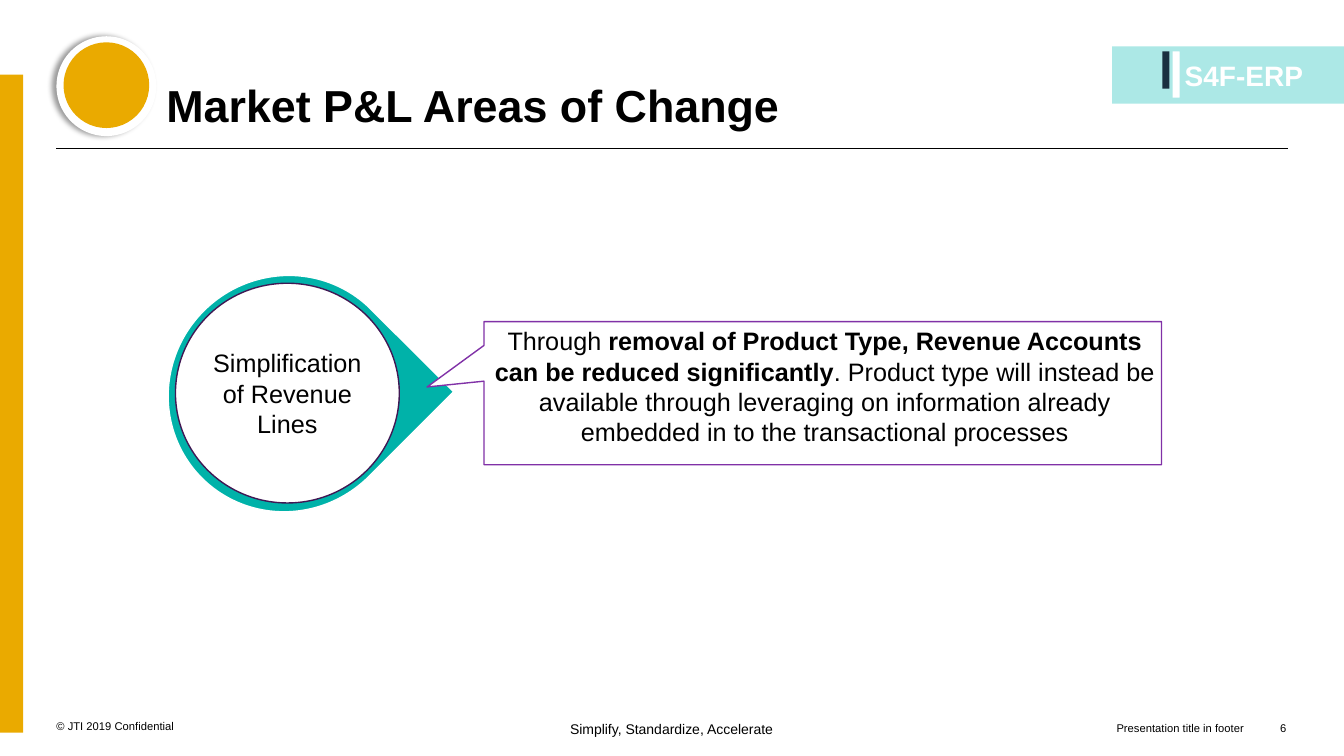
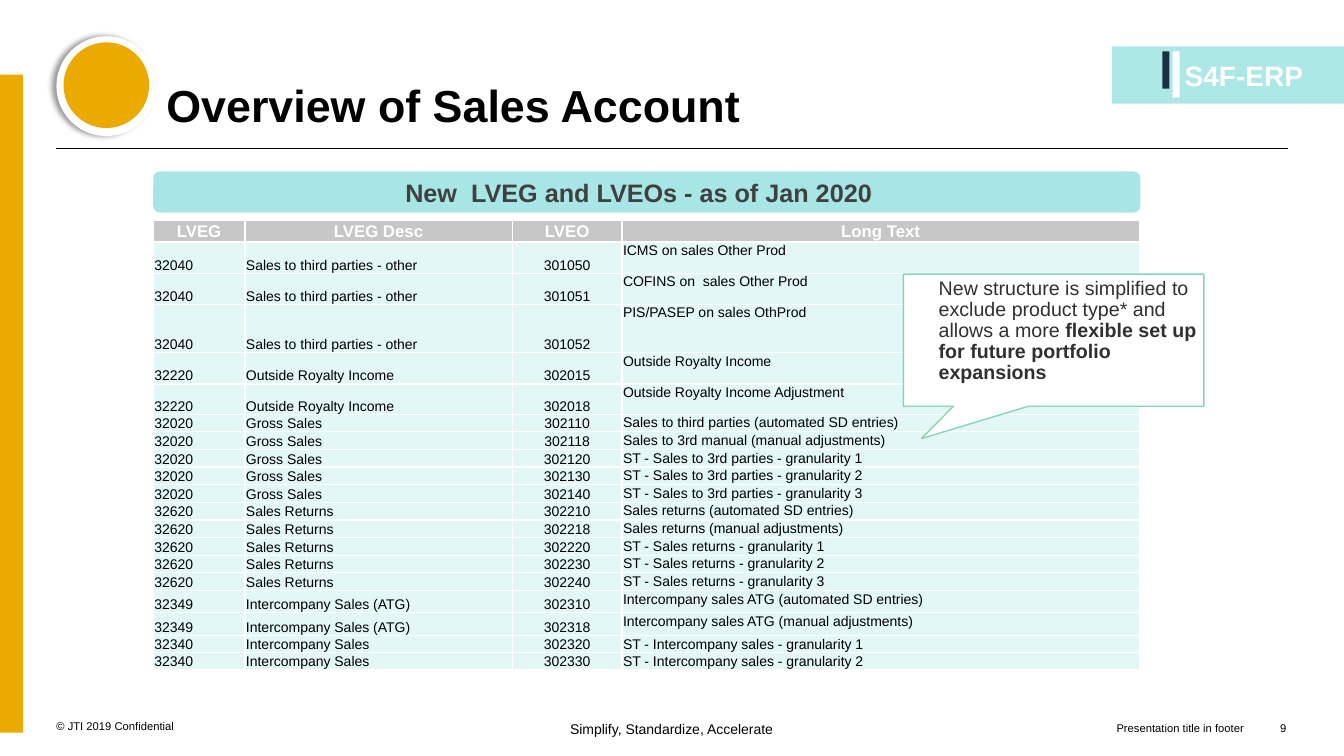
"""Build two slides on market P&L changes and the sales account overview."""
from lxml import etree
from pptx import Presentation
from pptx.dml.color import RGBColor
from pptx.enum import shapes, text
from pptx.oxml import parse_xml
from pptx.oxml.ns import nsdecls, qn
from pptx.util import Inches, Pt

FONT = "Arial"
BLACK = RGBColor(0x00, 0x00, 0x00)
WHITE = RGBColor(0xFF, 0xFF, 0xFF)
GOLD = RGBColor(0xEA, 0xAA, 0x00)
NAVY = RGBColor(0x1A, 0x30, 0x40)
BADGE_AQUA = RGBColor(0xAC, 0xE8, 0xE6)
BANNER_AQUA = RGBColor(0xA7, 0xE6, 0xE4)
CELL_AQUA = RGBColor(0xE3, 0xF7, 0xF7)
HEADER_GRAY = RGBColor(0xC7, 0xC7, 0xC7)
BANNER_TEXT = RGBColor(0x40, 0x40, 0x40)
CALLOUT_TEXT = RGBColor(0x30, 0x30, 0x30)
TEAL = RGBColor(0x00, 0xB2, 0xA9)
PLUM = RGBColor(0x40, 0x18, 0x54)
PURPLE = RGBColor(0x80, 0x31, 0xA7)
MINT = RGBColor(0x88, 0xD5, 0xB8)

SHAPE = shapes.MSO_SHAPE
LEFT, CENTER, RIGHT = text.PP_ALIGN.LEFT, text.PP_ALIGN.CENTER, text.PP_ALIGN.RIGHT
TOP, MIDDLE, BOTTOM = text.MSO_ANCHOR.TOP, text.MSO_ANCHOR.MIDDLE, text.MSO_ANCHOR.BOTTOM


def write(owner, content, size, color=BLACK, bold=False, align=LEFT, anchor=TOP,
          margins=(0, 0, 0, 0), spacing=None, cell=False):
    """Write a string, or a list of (string, bold) runs, into a shape or cell."""
    frame = owner.text_frame
    holder = owner if cell else frame
    holder.margin_left, holder.margin_top, holder.margin_right, holder.margin_bottom = map(Inches, margins)
    holder.vertical_anchor = anchor
    if not cell:
        frame.word_wrap = True
        frame.auto_size = text.MSO_AUTO_SIZE.NONE
    paragraph = frame.paragraphs[0]
    paragraph.alignment = align
    if spacing:
        paragraph.line_spacing = spacing
    for words, heavy in [(content, bold)] if isinstance(content, str) else content:
        run = paragraph.add_run()
        run.text = words
        run.font.name, run.font.size, run.font.bold = FONT, Pt(size), heavy
        run.font.color.rgb = color


def add_shape(slide, kind, box, fill, line=None, adjustments=()):
    """Add a flat preset shape with an optional one-point outline."""
    shape = slide.shapes.add_shape(kind, *map(Inches, box))
    shape.shadow.inherit = False
    shape.fill.solid()
    shape.fill.fore_color.rgb = fill
    if line is None:
        shape.line.fill.background()
    else:
        shape.line.color.rgb = line
        shape.line.width = Pt(1)
    for index, value in enumerate(adjustments):
        shape.adjustments[index] = value
    return shape


presentation = Presentation()
presentation.slide_width, presentation.slide_height = Inches(13.33), Inches(7.5)
title_only = presentation.slide_layouts[5]

slides = []
for heading, number in [("Market P&L Areas of Change", "6"), ("Overview of Sales Account", "9")]:
    slide = presentation.slides.add_slide(title_only)
    slides.append(slide)

    rule = slide.shapes.add_connector(shapes.MSO_CONNECTOR.STRAIGHT,
                                      Inches(0.56), Inches(1.47), Inches(12.77), Inches(1.47))
    rule.line.color.rgb = BLACK
    rule.line.width = Pt(0.75)
    etree.SubElement(rule._element.spPr, qn("a:effectLst"))

    add_shape(slide, SHAPE.RECTANGLE, (11.03, 0.46, 2.3, 0.57), BADGE_AQUA)
    add_shape(slide, SHAPE.RECTANGLE, (11.53, 0.51, 0.07, 0.37), NAVY)
    add_shape(slide, SHAPE.ROUNDED_RECTANGLE, (11.63, 0.51, 0.07, 0.46), WHITE, adjustments=[0.07])
    add_shape(slide, SHAPE.RECTANGLE, (0, 0.74, 0.23, 6.53), GOLD)
    ring = add_shape(slide, SHAPE.OVAL, (0.56, 0.36, 0.99, 0.99), WHITE)
    ring._element.spPr.find(qn("a:effectLst")).append(parse_xml(
        f'<a:outerShdw {nsdecls("a")} blurRad="{Pt(4)}" dist="{Pt(3)}" dir="10800000" rotWithShape="0">'
        '<a:srgbClr val="000000"><a:alpha val="40000"/></a:srgbClr></a:outerShdw>'))
    add_shape(slide, SHAPE.OVAL, (0.63, 0.42, 0.85, 0.85), GOLD)

    title = slide.shapes.title
    title.left, title.top, title.width, title.height = map(Inches, (1.65, 0.23, 9.3, 1.08))
    write(title, heading, 32, bold=True, anchor=BOTTOM, spacing=0.9)

    for words, box, style in [
        ("S4F-ERP", (11.75, 0.58, 1.25, 0.5), dict(size=20, color=WHITE, bold=True)),
        ("© JTI 2019 Confidential", (0.56, 6.87, 1.97, 0.4), dict(size=8, anchor=BOTTOM)),
        ("Simplify, Standardize, Accelerate", (5.13, 7.15, 3.06, 0.3), dict(size=10, align=CENTER)),
        ("Presentation title in footer", (7.74, 6.89, 4.6, 0.4), dict(size=8, align=RIGHT, anchor=BOTTOM)),
        (number, (12.33, 6.89, 0.43, 0.4), dict(size=8, align=RIGHT, anchor=BOTTOM)),
    ]:
        write(slide.shapes.add_textbox(*map(Inches, box)), words, **style)

change_slide, account_slide = slides

pointer = add_shape(change_slide, SHAPE.TEAR, (1.68, 2.72, 2.32, 2.37), TEAL, WHITE, [1])
pointer.rotation = 45
topic = add_shape(change_slide, SHAPE.OVAL, (1.74, 2.81, 2.22, 2.18), WHITE, PLUM)
write(topic, "Simplification of Revenue Lines", 18, align=CENTER, anchor=MIDDLE,
      margins=(0.04, 0.04, 0.04, 0.04))
explanation = add_shape(change_slide, SHAPE.RECTANGULAR_CALLOUT, (4.8, 3.19, 6.72, 1.42),
                        WHITE, PURPLE, [-0.584, -0.043])
write(explanation, [
    ("Through ", False),
    ("removal of Product Type, Revenue Accounts can be reduced significantly", True),
    (". Product type will instead be available through leveraging on information already "
     "embedded in to the transactional processes", False),
], 18, align=CENTER, margins=(0.04, 0.04, 0, 0))

banner = add_shape(account_slide, SHAPE.ROUNDED_RECTANGLE, (1.52, 1.7, 9.79, 0.41), BANNER_AQUA)
write(banner, "New  LVEG and LVEOs - as of Jan 2020", 18, BANNER_TEXT, True, CENTER, MIDDLE,
      margins=(0, 0, 0.16, 0))

accounts = [
    ("LVEG", "LVEG Desc", "LVEO", "Long Text"),
    ("32040", "Sales to third parties - other", "301050", "ICMS on sales Other Prod"),
    ("32040", "Sales to third parties - other", "301051", "COFINS on  sales Other Prod"),
    ("32040", "Sales to third parties - other", "301052", "PIS/PASEP on sales OthProd"),
    ("32220", "Outside Royalty Income", "302015", "Outside Royalty Income"),
    ("32220", "Outside Royalty Income", "302018", "Outside Royalty Income Adjustment"),
    ("32020", "Gross Sales", "302110", "Sales to third parties (automated SD entries)"),
    ("32020", "Gross Sales", "302118", "Sales to 3rd manual (manual adjustments)"),
    ("32020", "Gross Sales", "302120", "ST - Sales to 3rd parties - granularity 1"),
    ("32020", "Gross Sales", "302130", "ST - Sales to 3rd parties - granularity 2"),
    ("32020", "Gross Sales", "302140", "ST - Sales to 3rd parties - granularity 3"),
    ("32620", "Sales Returns", "302210", "Sales returns (automated SD entries)"),
    ("32620", "Sales Returns", "302218", "Sales returns (manual adjustments)"),
    ("32620", "Sales Returns", "302220", "ST - Sales returns - granularity 1"),
    ("32620", "Sales Returns", "302230", "ST - Sales returns - granularity 2"),
    ("32620", "Sales Returns", "302240", "ST - Sales returns - granularity 3"),
    ("32349", "Intercompany Sales (ATG)", "302310", "Intercompany sales ATG (automated SD entries)"),
    ("32349", "Intercompany Sales (ATG)", "302318", "Intercompany sales ATG (manual adjustments)"),
    ("32340", "Intercompany Sales", "302320", "ST - Intercompany sales - granularity 1"),
    ("32340", "Intercompany Sales", "302330", "ST - Intercompany sales - granularity 2"),
]
column_widths = [0.91, 2.65, 1.09, 5.13]
row_heights = [0.21, 0.31, 0.31, 0.48, 0.31, 0.3] + [1.75 / 10] * 10 + [0.22, 0.23, 0.17, 0.17]

table = account_slide.shapes.add_table(len(accounts), len(column_widths), Inches(1.52), Inches(2.19),
                                       Inches(sum(column_widths)), Inches(sum(row_heights))).table
table.first_row = table.horz_banding = False
for column, width in zip(table.columns, column_widths):
    column.width = Inches(width)
for row, height in zip(table.rows, row_heights):
    row.height = Inches(height)

for row_index, account in enumerate(accounts):
    for column_index, words in enumerate(account):
        cell = table.cell(row_index, column_index)
        if row_index == 0:
            style = dict(size=12, color=WHITE, bold=True, align=CENTER, anchor=MIDDLE)
        else:
            style = dict(size=10, align=CENTER if column_index == 2 else LEFT,
                         anchor=TOP if column_index == 3 else BOTTOM)
        write(cell, words, margins=(0.01, 0.01, 0.01, 0), cell=True, **style)
        for side in ("lnL", "lnR", "lnT", "lnB"):
            cell._tc.get_or_add_tcPr().append(parse_xml(
                f'<a:{side} {nsdecls("a")} w="{Pt(1)}"><a:solidFill>'
                f'<a:srgbClr val="{WHITE}"/></a:solidFill></a:{side}>'))
        cell.fill.solid()
        cell.fill.fore_color.rgb = CELL_AQUA if row_index else HEADER_GRAY

remark = add_shape(account_slide, SHAPE.RECTANGULAR_CALLOUT, (8.96, 2.72, 2.98, 1.31),
                   WHITE, MINT, [-0.44, 0.745])
write(remark, [
    ("New structure is simplified to exclude product type* and allows a more ", False),
    ("flexible set up for future portfolio expansions", True),
], 14, CALLOUT_TEXT, margins=(0.35, 0.04, 0, 0), spacing=0.9)

presentation.save("out.pptx")
